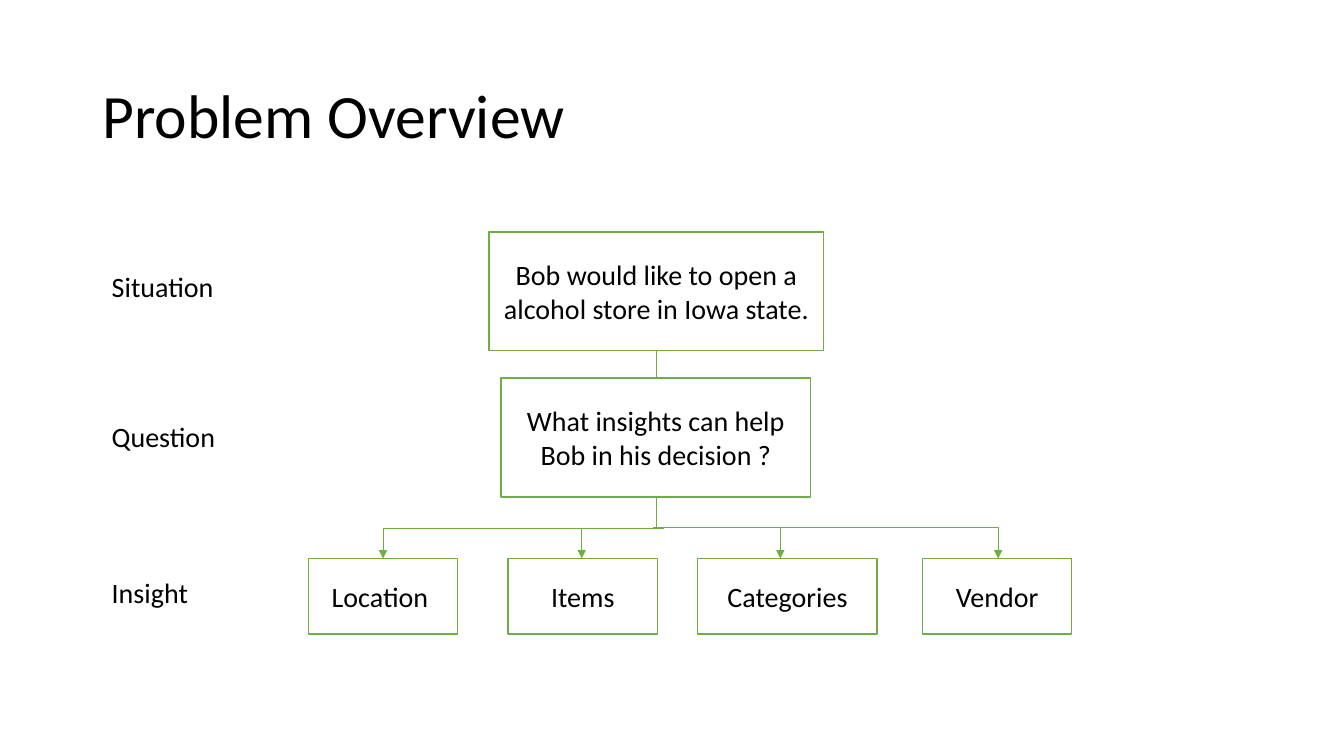
from lxml import etree
from pptx import Presentation
from pptx.dml.color import RGBColor
from pptx.enum import shapes, text
from pptx.oxml.ns import qn
from pptx.util import Inches, Pt

# Content
TITLE = "Problem Overview"
STAGES = [("Situation", 2.62), ("Question", 4.11), ("Insight", 5.66)]  # label, top
BOXES = [  # wording, left, top, width, height
    ("Bob would like to open a alcohol store in Iowa state.", 4.85, 2.3, 3.32, 1.18),
    ("What insights can help Bob in his decision ?", 4.97, 3.75, 3.07, 1.18),
    ("Location ", 3.06, 5.54, 1.48, 0.75),
    ("Items", 5.04, 5.54, 1.48, 0.75),
    ("Categories", 6.92, 5.54, 1.78, 0.75),
    ("Vendor", 9.15, 5.54, 1.48, 0.75),
]
BRANCHES = [  # start, end, bends, starts downwards, arrow
    ((6.51, 4.93), (9.9, 5.54), 2, True, True),    # question to vendor
    ((6.53, 5.24), (3.8, 5.54), 1, False, True),   # to location
    ((6.48, 5.23), (7.74, 5.54), 1, False, True),  # to categories
    ((6.59, 5.24), (5.77, 5.54), 1, False, True),  # to items
    ((6.51, 3.48), (4.97, 3.75), 1, True, False),  # situation to question
]

# Style
FONT = "Calibri"
BLACK = RGBColor(0x00, 0x00, 0x00)
WHITE = RGBColor(0xFF, 0xFF, 0xFF)
GREEN = RGBColor(0x70, 0xAD, 0x47)

deck = Presentation()
deck.slide_width, deck.slide_height = Inches(13.33), Inches(7.5)
slide = deck.slides.add_slide(deck.slide_layouts[6])


def write(holder, wording, size, align, anchor):
    frame = holder.text_frame
    frame.word_wrap = True
    frame.vertical_anchor = anchor
    frame.text = wording
    paragraph = frame.paragraphs[0]
    paragraph.alignment = align
    font = paragraph.runs[0].font
    font.name, font.size, font.color.rgb = FONT, Pt(size), BLACK
    return paragraph


def add_label(wording, left, top, width, height, size, anchor):
    label = slide.shapes.add_textbox(*map(Inches, (left, top, width, height)))
    return write(label, wording, size, text.PP_ALIGN.LEFT, anchor)


def add_box(wording, *place):
    box = slide.shapes.add_shape(shapes.MSO_SHAPE.FLOWCHART_PROCESS, *map(Inches, place))
    box.shadow.inherit = False
    box.fill.solid()
    box.fill.fore_color.rgb = WHITE
    box.line.color.rgb = GREEN
    box.line.width = Pt(1)
    write(box, wording, 20, text.PP_ALIGN.CENTER, text.MSO_ANCHOR.MIDDLE)


def add_branch(start, end, bends, downwards, arrow):
    (x1, y1), (x2, y2) = start, end
    if downwards:  # a frame that reaches start and end after a quarter turn
        mid_x, mid_y = (x1 + x2) / 2, (y1 + y2) / 2
        half_x, half_y = (y2 - y1) / 2, (x1 - x2) / 2
        x1, y1, x2, y2 = mid_x - half_x, mid_y - half_y, mid_x + half_x, mid_y + half_y
    branch = slide.shapes.add_connector(shapes.MSO_CONNECTOR.ELBOW,
                                        *map(Inches, (x1, y1, x2, y2)))
    branch.line.color.rgb = GREEN
    branch.line.width = Pt(0.5)
    properties = branch._element.spPr
    properties.find(qn("a:prstGeom")).set("prst", f"bentConnector{bends + 1}")
    if downwards:
        properties.find(qn("a:xfrm")).set("rot", "5400000")
    if arrow:
        etree.SubElement(properties.find(qn("a:ln")), qn("a:tailEnd"), type="triangle")
    etree.SubElement(properties, qn("a:effectLst"))


# Title
title = add_label(TITLE, 0.92, 0.45, 11.5, 1.45, 44, text.MSO_ANCHOR.MIDDLE)
title.line_spacing = 0.9

# Situation, question and insights, with the branches between them
for box in BOXES:
    add_box(*box)
for branch in BRANCHES:
    add_branch(*branch)

# Stage labels
for stage, top in STAGES:
    add_label(stage, 1.01, top, 2.17, 0.44, 20, text.MSO_ANCHOR.TOP)

deck.save("out.pptx")
